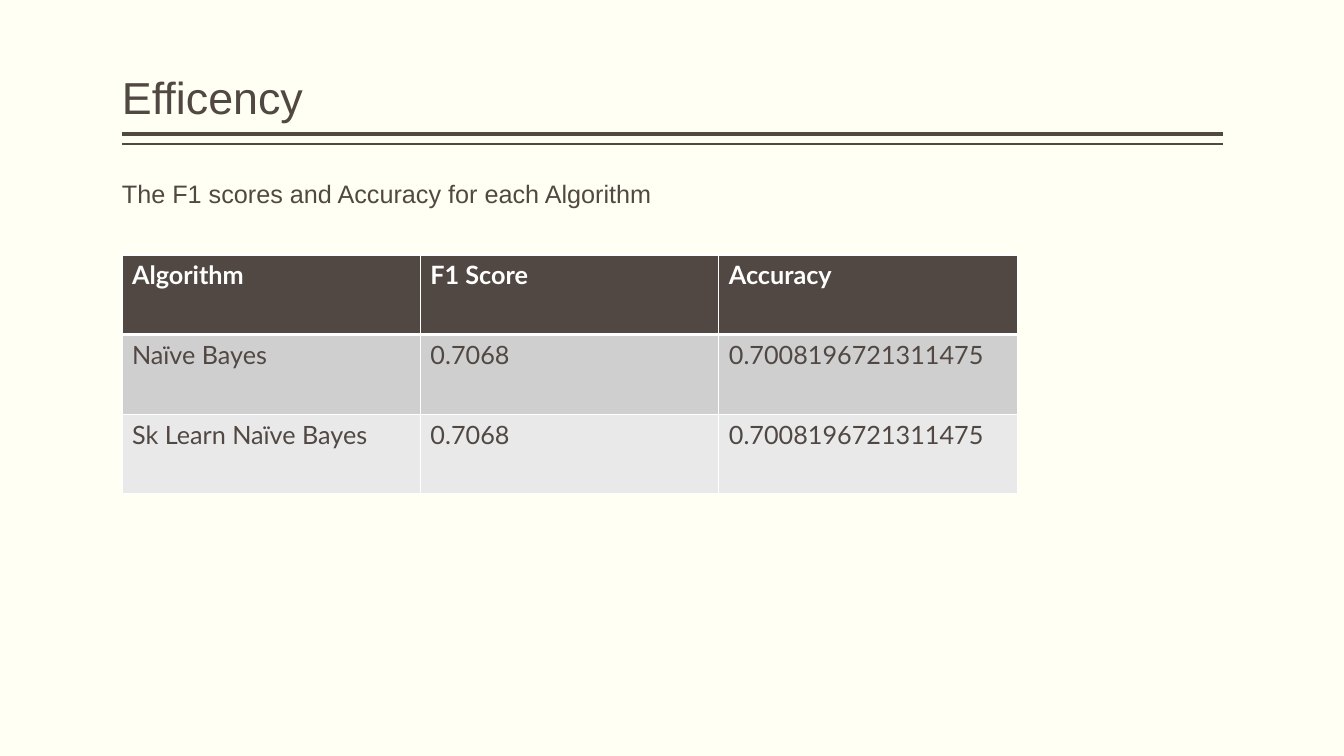
"""Build the efficiency slide with its table of F1 scores and accuracies."""
from dataclasses import dataclass

from lxml import etree
from pptx import Presentation
from pptx.dml.color import RGBColor
from pptx.enum.shapes import MSO_CONNECTOR
from pptx.enum.text import MSO_ANCHOR
from pptx.oxml.ns import qn
from pptx.slide import Slide
from pptx.table import _Cell
from pptx.util import Inches, Pt

STRAIGHT = MSO_CONNECTOR.STRAIGHT
TOP, BOTTOM = MSO_ANCHOR.TOP, MSO_ANCHOR.BOTTOM

IVORY = RGBColor(0xFF, 0xFF, 0xF3)
BROWN = RGBColor(0x51, 0x48, 0x43)
WHITE = RGBColor(0xFF, 0xFF, 0xFF)
GREY = RGBColor(0xD0, 0xCF, 0xCF)
PALE_GREY = RGBColor(0xE9, 0xE9, 0xE9)

LEFT, RIGHT = 1.21, 12.13
TABLE_TOP, COLUMN_WIDTH, ROW_HEIGHT = 2.53, 2.96, 0.79


@dataclass(frozen=True)
class Rule:
    y: float
    weight: float


@dataclass(frozen=True)
class Caption:
    text: str
    top: float
    width: float
    height: float
    size: float
    anchor: MSO_ANCHOR
    space_before: float


@dataclass(frozen=True)
class ScoreRow:
    values: tuple[str, str, str]
    fill: RGBColor
    color: RGBColor = BROWN
    bold: bool = False
    bottom_border: float = 1


RULES = (Rule(1.33, 3), Rule(1.43, 1))
CAPTIONS = (
    Caption("Efficency", 0.08, RIGHT - LEFT, 1.2, 32, BOTTOM, 0),
    Caption("The F1 scores and Accuracy for each Algorithm", 1.75, 8.79, 5, 18, TOP, 12),
)
SCORES = (
    ScoreRow(("Algorithm", "F1 Score", "Accuracy"), BROWN, WHITE, True, 3),
    ScoreRow(("Naïve Bayes", "0.7068", "0.7008196721311475"), GREY),
    ScoreRow(("Sk Learn Naïve Bayes", "0.7068", "0.7008196721311475"), PALE_GREY),
)


def draw_rule(slide: Slide, rule: Rule) -> None:
    line = slide.shapes.add_connector(
        STRAIGHT, Inches(RIGHT), Inches(rule.y), Inches(LEFT), Inches(rule.y))
    line.line.color.rgb = BROWN
    line.line.width = Pt(rule.weight)
    etree.SubElement(line._element.spPr, qn("a:effectLst"))


def draw_caption(slide: Slide, caption: Caption) -> None:
    box = slide.shapes.add_textbox(
        Inches(LEFT), Inches(caption.top), Inches(caption.width), Inches(caption.height))
    frame = box.text_frame
    frame.word_wrap = True
    frame.vertical_anchor = caption.anchor
    frame.margin_left = frame.margin_right = 0
    paragraph = frame.paragraphs[0]
    paragraph.text = caption.text
    paragraph.line_spacing = 0.9
    paragraph.space_before = Pt(caption.space_before)
    paragraph.font.name = "Arial"
    paragraph.font.size = Pt(caption.size)
    paragraph.font.color.rgb = BROWN


def set_borders(cell: _Cell, top: float, bottom: float) -> None:
    properties = cell._tc.get_or_add_tcPr()
    weights = {"a:lnL": 1, "a:lnR": 1, "a:lnT": top, "a:lnB": bottom}
    for index, (tag, weight) in enumerate(weights.items()):
        border = etree.Element(qn(tag), w=str(Pt(weight)))
        fill = etree.SubElement(border, qn("a:solidFill"))
        etree.SubElement(fill, qn("a:srgbClr"), val=str(WHITE))
        properties.insert(index, border)


def draw_scores(slide: Slide, scores: tuple[ScoreRow, ...]) -> None:
    columns = len(scores[0].values)
    table = slide.shapes.add_table(
        len(scores), columns, Inches(LEFT), Inches(TABLE_TOP),
        Inches(COLUMN_WIDTH * columns), Inches(ROW_HEIGHT * len(scores))).table
    top_border = 1
    for row_index, score in enumerate(scores):
        for column_index, value in enumerate(score.values):
            cell = table.cell(row_index, column_index)
            cell.fill.solid()
            cell.fill.fore_color.rgb = score.fill
            set_borders(cell, top_border, score.bottom_border)
            paragraph = cell.text_frame.paragraphs[0]
            paragraph.text = value
            paragraph.font.name = "Lato"
            paragraph.font.size = Pt(18)
            paragraph.font.bold = score.bold
            paragraph.font.color.rgb = score.color
        top_border = score.bottom_border


def main() -> None:
    presentation = Presentation()
    presentation.slide_width = Inches(13.33)
    presentation.slide_height = Inches(7.5)
    slide = presentation.slides.add_slide(presentation.slide_layouts[6])
    slide.background.fill.solid()
    slide.background.fill.fore_color.rgb = IVORY
    for rule in RULES:
        draw_rule(slide, rule)
    for caption in CAPTIONS:
        draw_caption(slide, caption)
    draw_scores(slide, SCORES)
    presentation.save("out.pptx")


if __name__ == "__main__":
    main()
